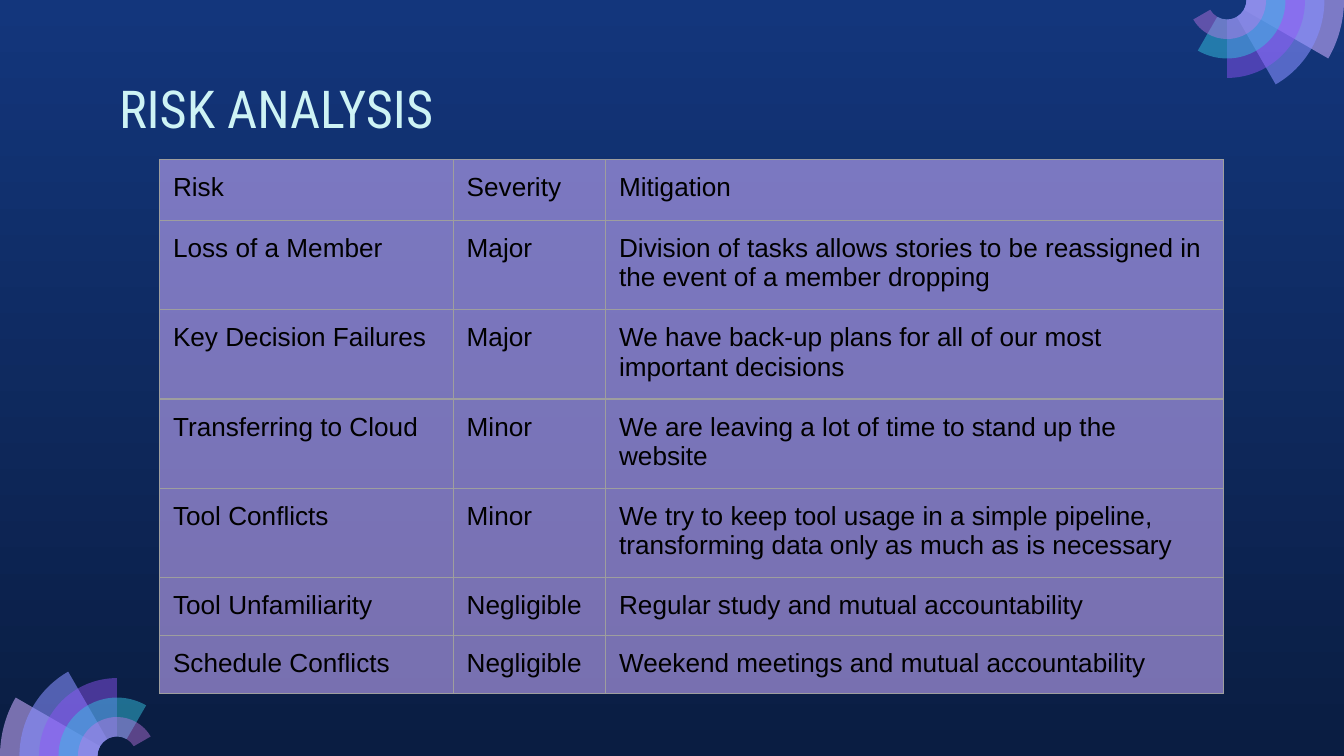
from math import cos, radians, sin, tan

from lxml import etree
from pptx import Presentation
from pptx import util as u
from pptx.dml.color import RGBColor
from pptx.enum import text
from pptx.oxml import ns

NAVY = RGBColor(0x13, 0x36, 0x7C)
DEEP_NAVY = RGBColor(0x0A, 0x1D, 0x42)
LILAC = RGBColor(0xC8, 0xAC, 0xFD)
PERIWINKLE = RGBColor(0x87, 0x8F, 0xFF)
VIOLET = RGBColor(0x91, 0x54, 0xF8)
CYAN = RGBColor(0x35, 0xC2, 0xDF)
ORCHID = RGBColor(0xCA, 0x7B, 0xEB)
ICE = RGBColor(0xCE, 0xF3, 0xF5)
GREY = RGBColor(0x9E, 0x9E, 0x9E)
BLACK = RGBColor(0, 0, 0)

WIDTH, HEIGHT = 25.4, 14.29


def fill_translucent(obj, color, percent):
    obj.fill.solid()
    obj.fill.fore_color.rgb = color
    element = obj._tc if hasattr(obj, "_tc") else obj._element
    clr = element.find(".//" + ns.qn("a:srgbClr"))
    etree.SubElement(clr, ns.qn("a:alpha"), val=str(percent * 1000))


def arc_points(r, angles):
    """Return the start of an arc, then three Bezier points for each step."""
    points = [(r * cos(radians(angles[0])), r * sin(radians(angles[0])))]
    for a, b in zip(map(radians, angles), map(radians, angles[1:])):
        k = 4 / 3 * tan((b - a) / 4)
        points += [(r * (cos(a) - k * sin(a)), r * (sin(a) + k * cos(a))),
                   (r * (cos(b) + k * sin(b)), r * (sin(b) - k * cos(b))),
                   (r * cos(b), r * sin(b))]
    return points


prs = Presentation()
prs.slide_width, prs.slide_height = u.Cm(WIDTH), u.Cm(HEIGHT)
s = prs.slides.add_slide(prs.slide_layouts[6])

bg = s.background.fill
bg.gradient()
bg.gradient_angle = 270
for stop, color in zip(bg.gradient_stops, (NAVY, DEEP_NAVY)):
    stop.color.rgb = color

# Corner fans: each ring is one step smaller and sweeps 30 degrees further
RADIUS = 2.21
STEP = RADIUS / 6
RINGS = [(LILAC, 58), (PERIWINKLE, 58), (VIOLET, 46), (CYAN, 49), (ORCHID, 42)]
FANS = [(RADIUS, HEIGHT, 1), (WIDTH - RADIUS, 0, -1)]
for cx, cy, turn in FANS:
    for i, (color, opacity) in enumerate(RINGS):
        sweep = 30 * (i + 1)
        angles = [0, sweep] if sweep <= 90 else [0, 90, sweep]
        outer = arc_points(RADIUS - STEP * i, angles)
        inner = arc_points(STEP, angles[::-1])
        points = [(u.Cm(cx - turn * x), u.Cm(cy - turn * y)) for x, y in outer + inner]
        fb = s.shapes.build_freeform(*points[0])
        fb.add_line_segments(points[1:], close=True)
        sp = fb.convert_to_shape()
        # Turn the straight segments of both arcs into curves
        lines = sp._element.findall(".//" + ns.qn("a:lnTo"))
        n = len(outer) - 1
        for arc in (lines[:n], lines[n + 1:]):
            for j in range(0, n, 3):
                first, *others = arc[j:j + 3]
                curve = etree.Element(ns.qn("a:cubicBezTo"))
                first.addprevious(curve)
                for line in (first, *others):
                    curve.append(line[0])
                    line.getparent().remove(line)
        sp.shadow.inherit = False
        sp.line.fill.background()
        fill_translucent(sp, color, opacity)

title = s.shapes.add_textbox(u.Cm(2), u.Cm(1.2), u.Cm(21.4), u.Cm(1.6))
tf = title.text_frame
tf.word_wrap = True
tf.vertical_anchor = text.MSO_ANCHOR.TOP
tf.margin_left = tf.margin_right = tf.margin_top = tf.margin_bottom = u.Cm(0.25)
p = tf.paragraphs[0]
p.text = "RISK ANALYSIS"
p.font.name = "Roboto Condensed"
p.font.size = u.Pt(28)
p.font.color.rgb = ICE

RISKS = [
    ("Risk", "Severity", "Mitigation"),
    ("Loss of a Member", "Major",
     "Division of tasks allows stories to be reassigned in the event of a member dropping"),
    ("Key Decision Failures", "Major",
     "We have back-up plans for all of our most important decisions"),
    ("Transferring to Cloud", "Minor",
     "We are leaving a lot of time to stand up the website"),
    ("Tool Conflicts", "Minor",
     "We try to keep tool usage in a simple pipeline, "
     "transforming data only as much as is necessary"),
    ("Tool Unfamiliarity", "Negligible", "Regular study and mutual accountability"),
    ("Schedule Conflicts", "Negligible", "Weekend meetings and mutual accountability"),
]
COLS = [5.55, 2.88, 11.68]
ROWS = [1.15] * 3 + [1.06] * 4
tbl = s.shapes.add_table(len(ROWS), len(COLS), u.Cm(3.02), u.Cm(3.02),
                         u.Cm(sum(COLS)), u.Cm(sum(ROWS))).table
tbl.first_row = tbl.horz_banding = False
for col, width in zip(tbl.columns, COLS):
    col.width = u.Cm(width)
for row, height, values in zip(tbl.rows, ROWS, RISKS):
    row.height = u.Cm(height)
    for cell, value in zip(row.cells, values):
        cell.margin_left = cell.margin_right = u.Cm(0.25)
        cell.margin_top = cell.margin_bottom = u.Cm(0.25)
        fill_translucent(cell, LILAC, 58)
        for i, side in enumerate(("lnL", "lnR", "lnT", "lnB")):
            ln = etree.Element(ns.qn("a:" + side), w=str(u.Pt(0.75)))
            solid = etree.SubElement(ln, ns.qn("a:solidFill"))
            etree.SubElement(solid, ns.qn("a:srgbClr"), val=str(GREY))
            cell._tc.tcPr.insert(i, ln)
        p = cell.text_frame.paragraphs[0]
        p.text = value
        p.font.name = "Arial"
        p.font.size = u.Pt(14)
        p.font.color.rgb = BLACK

prs.save("out.pptx")
